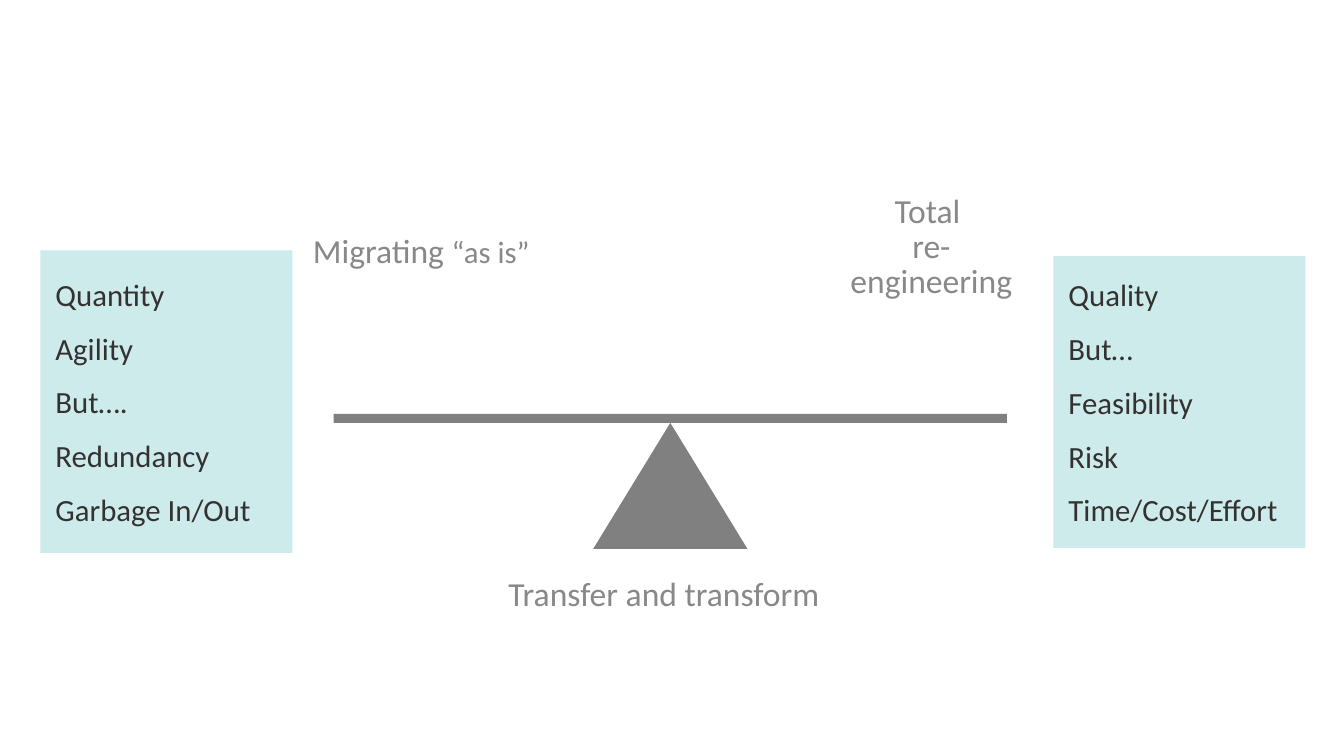
import pptx
import pptx.util
import pptx.dml.color
import pptx.enum.shapes
import pptx.enum.text
import pptx.oxml.ns
from lxml import etree

RGBColor = pptx.dml.color.RGBColor
Inches, Pt = pptx.util.Inches, pptx.util.Pt
MSO_SHAPE = pptx.enum.shapes.MSO_SHAPE
PP_ALIGN = pptx.enum.text.PP_ALIGN
MSO_ANCHOR = pptx.enum.text.MSO_ANCHOR

GREY = RGBColor(0x80, 0x80, 0x80)
LABEL_GREY = RGBColor(0x88, 0x88, 0x88)
TEAL = RGBColor(0x0E, 0x9C, 0xA0)
DARK = RGBColor(0x33, 0x32, 0x30)


class Canvas:
    """Slide with a grid of 80 columns and 45 rows, and one text style."""
    font = "Calibri"
    label_size, list_size = 48, 44

    def __init__(self, prs):
        self.s = prs.slides.add_slide(prs.slide_layouts[6])
        self.col = prs.slide_width / 80
        self.row = prs.slide_height / 45

    def place(self, x, y, w, h):
        return (round(x * self.col), round(y * self.row),
                round(w * self.col), round(h * self.row))

    def style(self, r, size, color):
        r.font.name = self.font
        r.font.size = Pt(size)
        r.font.color.rgb = color

    def frame(self, sp, left, top, right, bottom):
        tf = sp.text_frame
        tf.word_wrap = True
        tf.margin_left, tf.margin_top = Inches(left), Inches(top)
        tf.margin_right, tf.margin_bottom = Inches(right), Inches(bottom)
        return tf

    def shape(self, kind, box, color, alpha=None):
        sp = self.s.shapes.add_shape(kind, *self.place(*box))
        sp.shadow.inherit = False
        sp.fill.solid()
        sp.fill.fore_color.rgb = color
        sp.line.fill.background()
        if alpha is not None:
            clr = sp.fill._xPr.find(".//" + pptx.oxml.ns.qn("a:srgbClr"))
            etree.SubElement(clr, pptx.oxml.ns.qn("a:alpha"), val=str(alpha * 1000))
        return sp

    def panel(self, box, items, right=0.3):
        sp = self.shape(MSO_SHAPE.RECTANGLE, box, TEAL, alpha=20)
        tf = self.frame(sp, 0.3, 0.3, right, 0.3)
        tf.vertical_anchor = MSO_ANCHOR.MIDDLE
        tf.text = "\n".join(items)
        for i, p in enumerate(tf.paragraphs):
            p.alignment = PP_ALIGN.LEFT
            p.space_before = Pt(24 if i else 0)
            self.style(p.runs[0], self.list_size, DARK)

    def label(self, box, text, align=PP_ALIGN.LEFT, spacing=None):
        sp = self.s.shapes.add_textbox(*self.place(*box))
        tf = self.frame(sp, 0.1, 0.1, 0.1, 0.1)
        tf.text = text
        p = tf.paragraphs[0]
        p.alignment = align
        if spacing:
            p.line_spacing = Pt(spacing)
        for r in p.runs:
            self.style(r, self.label_size, LABEL_GREY)
        return p


def main():
    prs = pptx.Presentation()
    prs.slide_width, prs.slide_height = Inches(26.67), Inches(15)
    c = Canvas(prs)

    # Seesaw: the pivot is centred under the beam
    beam_x, beam_y, beam_w, beam_h = 19.86, 24.63, 40.08, 0.54
    pivot_w, pivot_h = 9.18, 7.5
    c.shape(MSO_SHAPE.RECTANGLE, (beam_x, beam_y, beam_w, beam_h), GREY)
    c.shape(MSO_SHAPE.ISOSCELES_TRIANGLE,
            (beam_x + (beam_w - pivot_w) / 2, beam_y + beam_h, pivot_w, pivot_h), GREY)

    # Labels around the seesaw
    p = c.label((18.33, 13.41, 13.77, 3.03), "Migrating ")
    r = p.add_run()
    r.text = "“as is”"
    c.style(r, c.list_size, LABEL_GREY)
    c.label((49.23, 11.34, 12.42, 4.83), "Total \vre-engineering",
            PP_ALIGN.CENTER, spacing=50)
    c.label((29.97, 33.78, 19.8, 2.73), "Transfer and transform")

    # Trade-offs on each side
    c.panel((2.4, 14.91, 15, 18),
            ["Quantity", "Agility", "But….", "Redundancy", "Garbage In/Out"])
    c.panel((62.7, 15.24, 15, 17.37),
            ["Quality", "But…", "Feasibility", "Risk", "Time/Cost/Effort"], right=0.2)

    prs.save("out.pptx")


if __name__ == "__main__":
    main()
